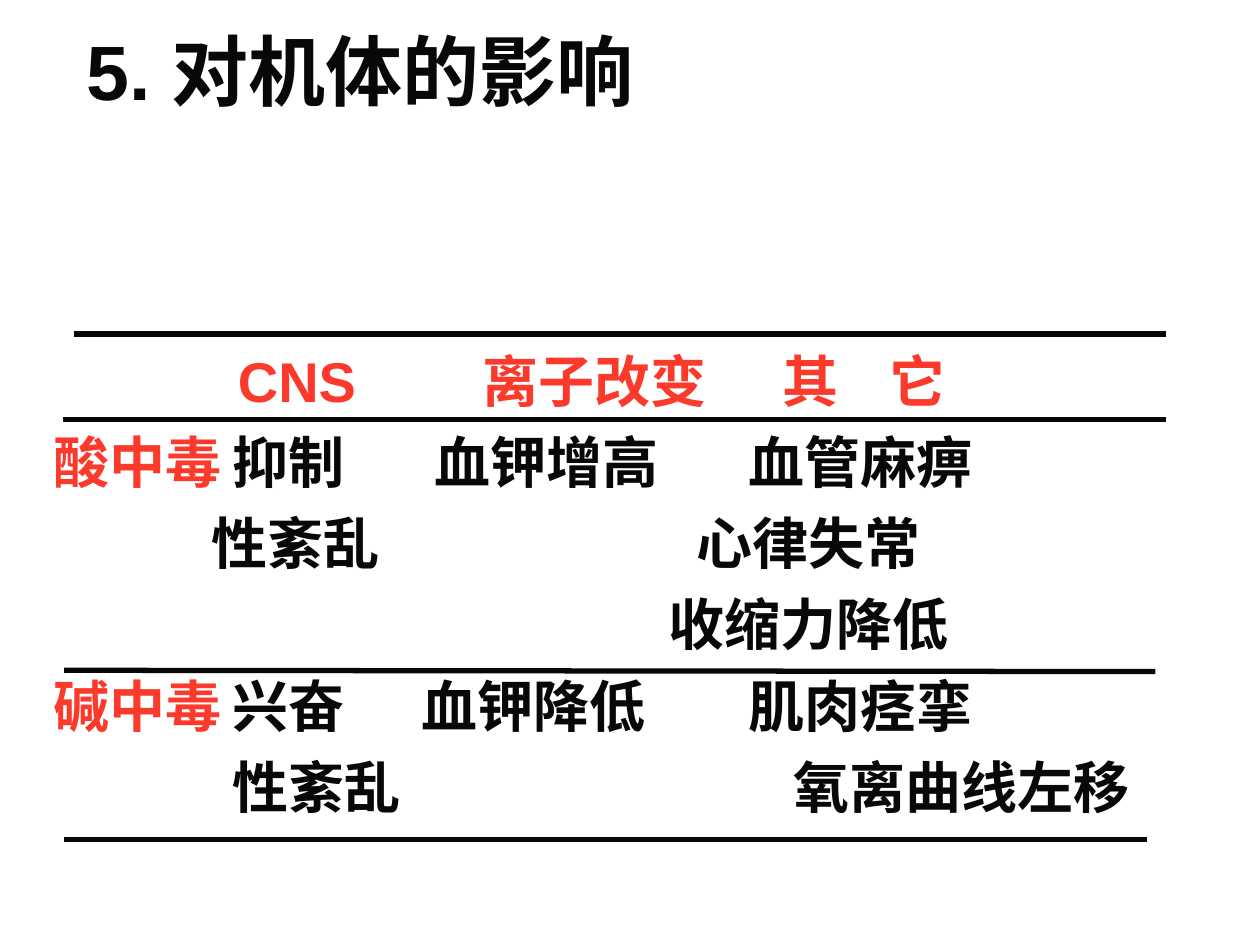
from pptx import Presentation
from pptx.dml.color import RGBColor
from pptx.enum.shapes import MSO_CONNECTOR
from pptx.enum.text import MSO_ANCHOR, PP_ALIGN
from pptx.oxml.ns import qn
from pptx.util import Inches, Pt
from lxml.etree import SubElement

INK = "080808"
RED = "FB3A2B"


def rgb(value):
    return RGBColor.from_string(value)


class SlideBuilder:
    font_name = "Arial"
    row_size = 32
    title_size = 44
    rule_width = 3

    def __init__(self, slide):
        self.slide = slide

    def frame(self, left, top, width, height):
        box = self.slide.shapes.add_textbox(
            Inches(left), Inches(top), Inches(width), Inches(height))
        box.text_frame.word_wrap = True
        return box.text_frame

    def style(self, font, size):
        font.name = self.font_name
        font.size = Pt(size)
        font.bold = True

    def title(self, text, left, top, width, height):
        frame = self.frame(left, top, width, height)
        frame.vertical_anchor = MSO_ANCHOR.MIDDLE
        heading = frame.paragraphs[0]
        heading.text = text
        heading.alignment = PP_ALIGN.CENTER
        self.style(heading.font, self.title_size)
        heading.font.color.rgb = rgb(INK)

    def tab_stops(self, paragraph, stops):
        """Add left tab stops, measured in inches from the text edge."""
        tabs = SubElement(paragraph._p.get_or_add_pPr(), qn("a:tabLst"))
        for stop in stops:
            SubElement(tabs, qn("a:tab"), pos=str(Inches(stop)), algn="l")

    def rows(self, rows, left, top, width, height):
        """Set each row as (text, colour, tab stop) cells; stop 0 is the edge."""
        frame = self.frame(left, top, width, height)
        for index, cells in enumerate(rows):
            row = frame.add_paragraph() if index else frame.paragraphs[0]
            self.tab_stops(row, [stop for _, _, stop in cells if stop])
            self.style(row.font, self.row_size)
            if index:
                row.space_before = Pt(8)
            for text, colour, stop in cells:
                run = row.add_run()
                run.text = "\t" + text if stop else text
                run.font.color.rgb = rgb(colour)

    def rule(self, x1, y1, x2, y2):
        line = self.slide.shapes.add_connector(
            MSO_CONNECTOR.STRAIGHT,
            Inches(x1), Inches(y1), Inches(x2), Inches(y2))
        line.line.color.rgb = rgb(INK)
        line.line.width = Pt(self.rule_width)
        SubElement(line._element.spPr, qn("a:effectLst"))


EFFECTS = [
    [("CNS", RED, 1.46), ("离子改变", RED, 3.4), ("其", RED, 5.78), ("它", RED, 6.63)],
    [("酸中毒", RED, 0), ("抑制", INK, 1.42), ("血钾增高", INK, 3.02),
     ("血管麻痹", INK, 5.51)],
    [("性紊乱", INK, 1.25), ("心律失常", INK, 5.1)],
    [("收缩力降低", INK, 4.88)],
    [("碱中毒", RED, 0), ("兴奋", INK, 1.42), ("血钾降低", INK, 2.92),
     ("肌肉痉挛", INK, 5.51)],
    [("性紊乱", INK, 1.42), ("氧离曲线左移", INK, 5.87)],
]
RULES = [
    (0.59, 2.65, 9.25, 2.65),
    (0.5, 3.33, 9.25, 3.33),
    (0.51, 6.66, 9.1, 6.66),
    (0.51, 5.32, 9.17, 5.33),
]


def main():
    deck = Presentation()
    deck.slide_width, deck.slide_height = Inches(10), Inches(7.5)
    builder = SlideBuilder(deck.slides.add_slide(deck.slide_layouts[6]))
    builder.title("5. 对机体的影响", 0.33, 0.17, 5.06, 0.77)
    builder.rows(EFFECTS, 0.33, 2.7, 9.34, 3.97)
    for ends in RULES:
        builder.rule(*ends)
    deck.save("out.pptx")


if __name__ == "__main__":
    main()
